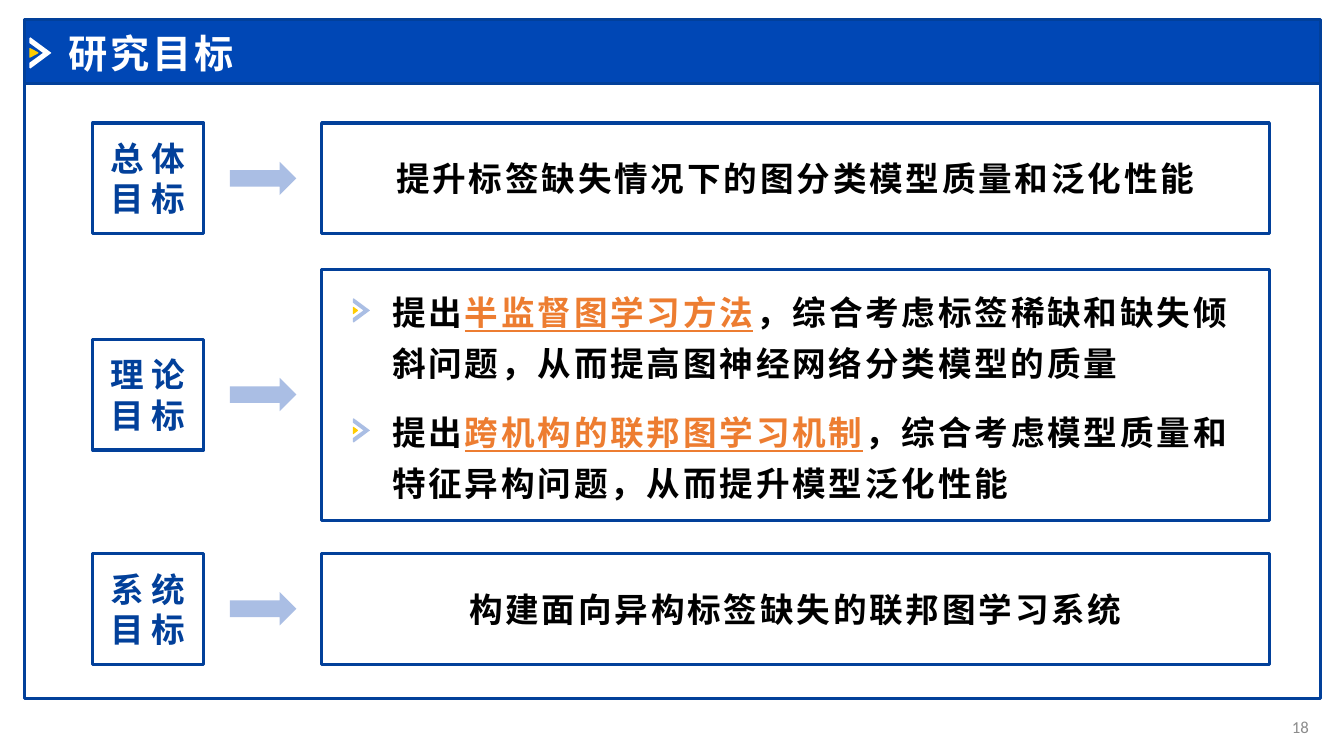
from lxml import etree
from pptx import Presentation
from pptx.dml.color import RGBColor
from pptx.enum import shapes, text
from pptx.oxml.ns import qn
from pptx.util import Inches, Pt

NAVY = RGBColor(0x02, 0x40, 0x9A)
BLUE = RGBColor(0x00, 0x47, 0xB5)
PALE = RGBColor(0xAA, 0xBE, 0xE4)
GOLD = RGBColor(0xFF, 0xCC, 0x00)
ORANGE = RGBColor(0xED, 0x7D, 0x31)
GREY = RGBColor(0x8C, 0x8C, 0x8C)
WHITE = RGBColor(0xFF, 0xFF, 0xFF)
BLACK = RGBColor(0, 0, 0)

LATIN = "Calibri"
CJK = "Noto Sans CJK SC"
SHAPE = shapes.MSO_SHAPE
ALIGN = text.PP_ALIGN

CHEVRON = [(0, 0.03), (0.05, 0), (1, 0.5), (0.05, 1), (0, 0.97),
           (0, 0.82), (0.62, 0.5), (0, 0.18)]
TRIANGLE = [(0, 0), (0.12, 0), (1, 0.45), (1, 0.55), (0.12, 1), (0, 1)]

BADGE_X, BADGE_SIZE = 0.92, 1.1
ARROW_X, ARROW_W, ARROW_H = 2.28, 0.66, 0.33
PANEL_X, PANEL_W = 3.19, 9.4
BULLET_GAP = 1.19

GOALS = [
    ("总 体", 1.22, 1.1, "提升标签缺失情况下的图分类模型质量和泛化性能"),
    ("理 论", 2.67, 2.49, [
        ("提出", "半监督图学习方法",
         "，综合考虑标签稀缺和缺失倾斜问题，从而提高图神经网络分类模型的质量"),
        ("提出", "跨机构的联邦图学习机制",
         "，综合考虑模型质量和特征异构问题，从而提升模型泛化性能"),
    ]),
    ("系 统", 5.49, 1.1, "构建面向异构标签缺失的联邦图学习系统"),
]


def style(p, size, color, name=LATIN, bold=True, spacing=0, align=ALIGN.LEFT):
    p.alignment = align
    p.font.size = Pt(size)
    p.font.bold = bold
    p.font.name = name
    p.font.color.rgb = color
    props = p._p.pPr.find(qn("a:defRPr"))
    props.set("spc", str(spacing * 100))
    ea = etree.Element(qn("a:ea"), typeface=CJK)
    props.find(qn("a:latin")).addnext(ea)


def paint(sp, fill=None, line=None, width=2.25):
    sp.shadow.inherit = False
    if fill is None:
        sp.fill.background()
    else:
        sp.fill.solid()
        sp.fill.fore_color.rgb = fill
    if line is None:
        sp.line.fill.background()
    else:
        sp.line.color.rgb = line
        sp.line.width = Pt(width)


def add_box(s, kind, x, y, w, h, **paints):
    sp = s.shapes.add_shape(kind, Inches(x), Inches(y), Inches(w), Inches(h))
    paint(sp, **paints)
    return sp


def add_text(s, x, y, w, h):
    sp = s.shapes.add_textbox(Inches(x), Inches(y), Inches(w), Inches(h))
    sp.text_frame.word_wrap = True
    return sp.text_frame


def add_outline(s, points, x, y, w, h, fill):
    corners = [(Inches(x + w * px), Inches(y + h * py)) for px, py in points]
    builder = s.shapes.build_freeform(*corners[0])
    builder.add_line_segments(corners[1:])
    paint(builder.convert_to_shape(), fill=fill)


def add_marker(s, x, y, w, h, tip, fill):
    add_outline(s, CHEVRON, x, y, w, h, fill)
    add_outline(s, TRIANGLE, x, y + 0.35 * h, tip, 0.3 * h, GOLD)


def add_frame(s, x, y, w, h, header):
    add_box(s, SHAPE.RECTANGLE, x, y + header, w, h - header, line=NAVY, width=2)
    add_box(s, SHAPE.RECTANGLE, x, y, w, header, fill=BLUE, line=NAVY, width=2)
    add_marker(s, x + 0.05, y + 0.18, 0.22, 0.31, 0.09, WHITE)

    title = s.shapes.title
    title.left, title.top = Inches(x + 0.34), Inches(y + 0.05)
    title.width, title.height = Inches(11.04), Inches(0.57)
    tf = title.text_frame
    tf.text = "研究目标"
    tf.auto_size = text.MSO_AUTO_SIZE.NONE
    tf.vertical_anchor = text.MSO_ANCHOR.MIDDLE
    style(tf.paragraphs[0], 28, WHITE, spacing=2)

    s.shapes._spTree.append(title._element)
    tf = add_text(s, x + w - 0.81, y + h + 0.08, 0.79, 0.4)
    tf.vertical_anchor = text.MSO_ANCHOR.MIDDLE
    tf.text = "18"
    style(tf.paragraphs[0], 12, GREY, bold=False, align=ALIGN.RIGHT)


def add_badge(s, x, y, size, label):
    sp = add_box(s, SHAPE.RECTANGLE, x, y, size, size, line=NAVY)
    tf = sp.text_frame
    tf.vertical_anchor = text.MSO_ANCHOR.MIDDLE
    tf.text = f"{label}\n目 标"
    for p in tf.paragraphs:
        style(p, 24, NAVY, align=ALIGN.CENTER)


def add_bullet(s, x, y, w, parts):
    add_marker(s, x + 0.31, y + 0.29, 0.17, 0.24, 0.05, PALE)
    p = add_text(s, x + 0.6, y + 0.08, w - 0.79, 1.06).paragraphs[0]
    p.line_spacing = 1.25
    p.space_after = Pt(12)
    style(p, 24, BLACK, CJK, spacing=2)
    for i, part in enumerate(parts):
        r = p.add_run()
        r.text = part
        if i == 1:
            r.font.color.rgb = ORANGE
            r.font.underline = True


def add_goal(s, y, h, label, content):
    middle = y + h / 2
    add_badge(s, BADGE_X, middle - BADGE_SIZE / 2, BADGE_SIZE, label)
    add_box(s, SHAPE.RIGHT_ARROW, ARROW_X, middle - ARROW_H / 2,
            ARROW_W, ARROW_H, fill=PALE)
    panel = add_box(s, SHAPE.ROUNDED_RECTANGLE, PANEL_X, y, PANEL_W, h, line=NAVY)
    panel.adjustments[0] = 0
    if isinstance(content, str):
        tf = add_text(s, PANEL_X + 0.1, middle - 0.25, PANEL_W - 0.2, 0.5)
        tf.text = content
        style(tf.paragraphs[0], 24, BLACK, CJK, spacing=2, align=ALIGN.CENTER)
    else:
        for i, parts in enumerate(content):
            add_bullet(s, PANEL_X, y + i * BULLET_GAP, PANEL_W, parts)


def main():
    prs = Presentation()
    prs.slide_width, prs.slide_height = Inches(13.33), Inches(7.5)
    s = prs.slides.add_slide(prs.slide_layouts[5])
    add_frame(s, 0.24, 0.19, 12.86, 6.74, 0.64)
    for label, y, h, content in GOALS:
        add_goal(s, y, h, label, content)
    prs.save("out.pptx")


if __name__ == "__main__":
    main()
